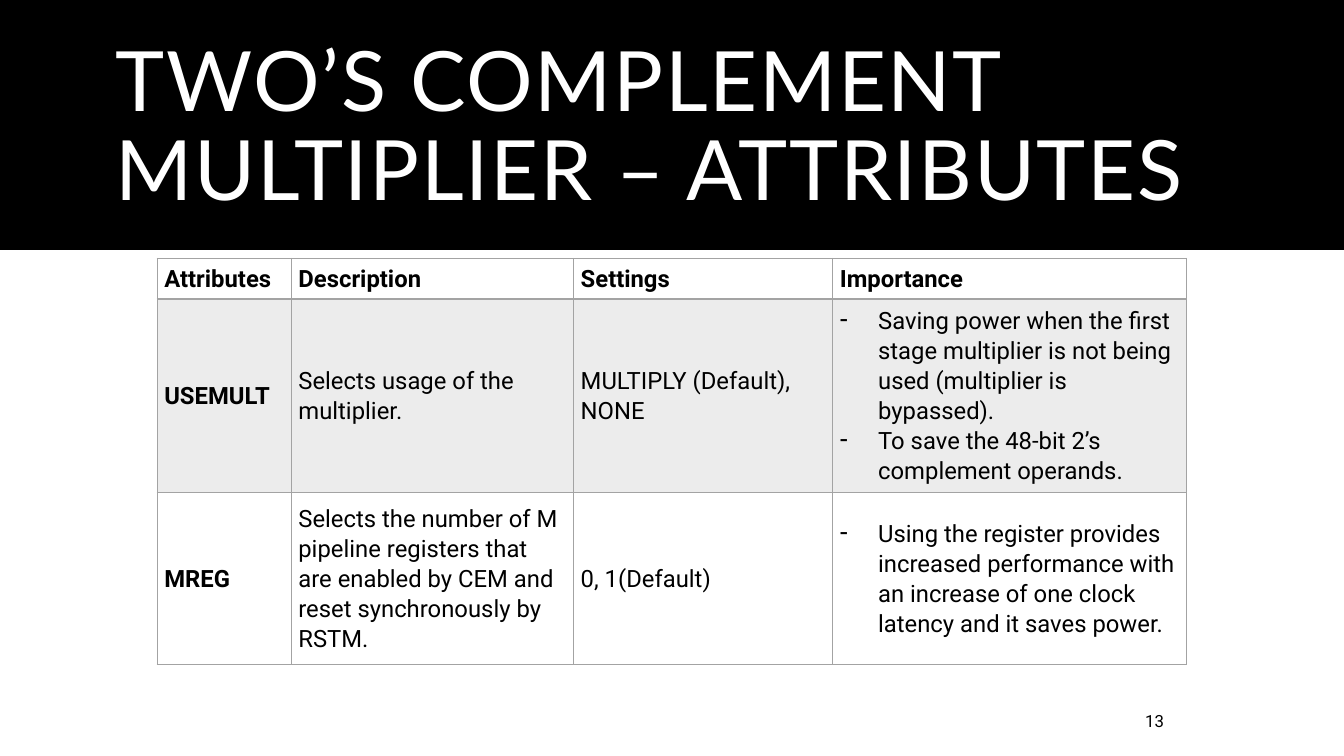
from dataclasses import dataclass

from lxml import etree
from pptx import Presentation
from pptx.dml.color import RGBColor
from pptx.enum.shapes import MSO_SHAPE
from pptx.enum.text import MSO_ANCHOR, MSO_AUTO_SIZE, PP_ALIGN
from pptx.oxml.ns import qn
from pptx.util import Inches, Pt

RECT = MSO_SHAPE.RECTANGLE
MIDDLE = MSO_ANCHOR.MIDDLE
NO_FIT = MSO_AUTO_SIZE.NONE
LEFT = PP_ALIGN.LEFT
TITLE_ONLY = 5


@dataclass(frozen=True)
class Theme:
    ink: str = "000000"
    paper: str = "FFFFFF"
    rule: str = "A3A3A3"
    tint: int = 20  # percent opacity of the shaded row
    title_font: str = "Lato"
    body_font: str = "Roboto"
    title_size: float = 59.4
    body_size: float = 17
    note_size: float = 12


def set_all(obj, values):
    for name, value in values.items():
        setattr(obj, name, value)


def sub(parent, tag, **attrs):
    return etree.SubElement(parent, qn(tag), {k: str(v) for k, v in attrs.items()})


class Deck:
    """Theme and current slide; lengths are percent of the slide's size."""

    def __init__(self, theme):
        self.theme = theme
        self.prs = Presentation()
        set_all(self.prs, {"slide_width": Inches(13.33), "slide_height": Inches(7.5)})
        self.slide = self.prs.slides.add_slide(self.prs.slide_layouts[TITLE_ONLY])

    def x(self, share):
        return round(self.prs.slide_width * share / 100)

    def y(self, share):
        return round(self.prs.slide_height * share / 100)

    def box(self, left, top, width, height):
        return self.x(left), self.y(top), self.x(width), self.y(height)

    def run(self, p, text, size, color, font, bold=False):
        r = p.add_run()
        r.text = text
        set_all(r.font, {"name": font, "size": Pt(size), "bold": bold})
        r.font.color.rgb = RGBColor.from_string(color)
        return r

    def band(self, *area):
        sp = self.slide.shapes.add_shape(RECT, *self.box(*area))
        sp.shadow.inherit = False
        sp.fill.solid()
        sp.fill.fore_color.rgb = RGBColor.from_string(self.theme.ink)
        sp.line.fill.background()
        self.slide.shapes.title.element.addprevious(sp.element)

    def title(self, text, *area):
        t, sp = self.theme, self.slide.shapes.title
        set_all(sp, dict(zip(("left", "top", "width", "height"), self.box(*area))))
        tf = sp.text_frame
        set_all(tf, {"word_wrap": True, "auto_size": NO_FIT, "vertical_anchor": MIDDLE})
        p = tf.paragraphs[0]
        set_all(p, {"alignment": LEFT, "line_spacing": 0.9})
        r = self.run(p, text, t.title_size, t.paper, t.title_font)
        r._r.get_or_add_rPr().set("spc", "120")

    def page_number(self, text, *area):
        t = self.theme
        tf = self.slide.shapes.add_textbox(*self.box(*area)).text_frame
        set_all(tf, {"word_wrap": True, "vertical_anchor": MIDDLE})
        self.run(tf.paragraphs[0], text, t.note_size, t.ink, t.body_font)

    def table(self, rows, left, top, widths, heights):
        area = self.box(left, top, sum(widths), sum(heights))
        tbl = self.slide.shapes.add_table(len(rows), len(widths), *area).table
        tbl.horz_banding = False
        for col, width in zip(tbl.columns, widths):
            col.width = self.x(width)
        for row, height in zip(tbl.rows, heights):
            row.height = self.y(height)
        for i, row in enumerate(rows):
            for j, content in enumerate(row):
                self.cell(tbl.cell(i, j), content, i, bold=i == 0 or j == 0)

    def cell(self, cell, content, row, bold):
        t = self.theme
        set_all(cell, {
            "vertical_anchor": MIDDLE,
            "margin_left": Inches(0.07), "margin_right": Inches(0.07),
            "margin_top": 0, "margin_bottom": 0,
        })
        # A list becomes dashed items, a string a plain paragraph
        dashed = isinstance(content, list)
        for n, text in enumerate(content if dashed else [content]):
            tf = cell.text_frame
            p = tf.add_paragraph() if n else tf.paragraphs[0]
            p.line_spacing = 1.07
            if dashed:
                pPr = p._p.get_or_add_pPr()
                pPr.set("marL", str(Inches(0.38)))
                pPr.set("indent", str(-Inches(0.38)))
                sub(pPr, "a:buChar", char="-")
            self.run(p, text, t.body_size, t.ink, t.body_font, bold)
        # Borders come before the fill; the rule under the header is heavier
        tcPr = cell._tc.get_or_add_tcPr()
        heavy = {0: "a:lnB", 1: "a:lnT"}.get(row)
        for side in ("a:lnL", "a:lnR", "a:lnT", "a:lnB"):
            ln = sub(tcPr, side, w=Pt(2 if side == heavy else 1))
            sub(sub(ln, "a:solidFill"), "a:srgbClr", val=t.rule)
        if row % 2:
            color = sub(sub(tcPr, "a:solidFill"), "a:srgbClr", val=t.rule)
            sub(color, "a:alpha", val=t.tint * 1000)
        else:
            sub(tcPr, "a:noFill")


ATTRIBUTES = [
    ["Attributes", "Description", "Settings", "Importance"],
    ["USEMULT", "Selects usage of the multiplier.", "MULTIPLY (Default), NONE",
     ["Saving power when the first stage multiplier is not being used "
      "(multiplier is bypassed).",
      "To save the 48-bit 2’s complement operands."]],
    ["MREG",
     "Selects the number of M pipeline registers that are enabled by CEM "
     "and reset synchronously by RSTM.",
     "0, 1(Default)",
     ["Using the register provides increased performance with an increase "
      "of one clock latency and it saves power."]],
]


def main():
    deck = Deck(Theme())
    # Header
    deck.band(0, 0, 100, 33.07)
    deck.title("TWO’S COMPLEMENT MULTIPLIER – ATTRIBUTES", 7.88, 4.67, 84.25, 24.8)
    # Page number
    deck.page_number("13", 84.47, 92.67, 7.65, 5.33)
    # Attribute table
    deck.table(ATTRIBUTES, 11.7, 34.2, widths=(9.98, 21.01, 19.28, 26.33),
               heights=(5.33, 25.6, 22.8))
    deck.prs.save("out.pptx")


if __name__ == "__main__":
    main()
